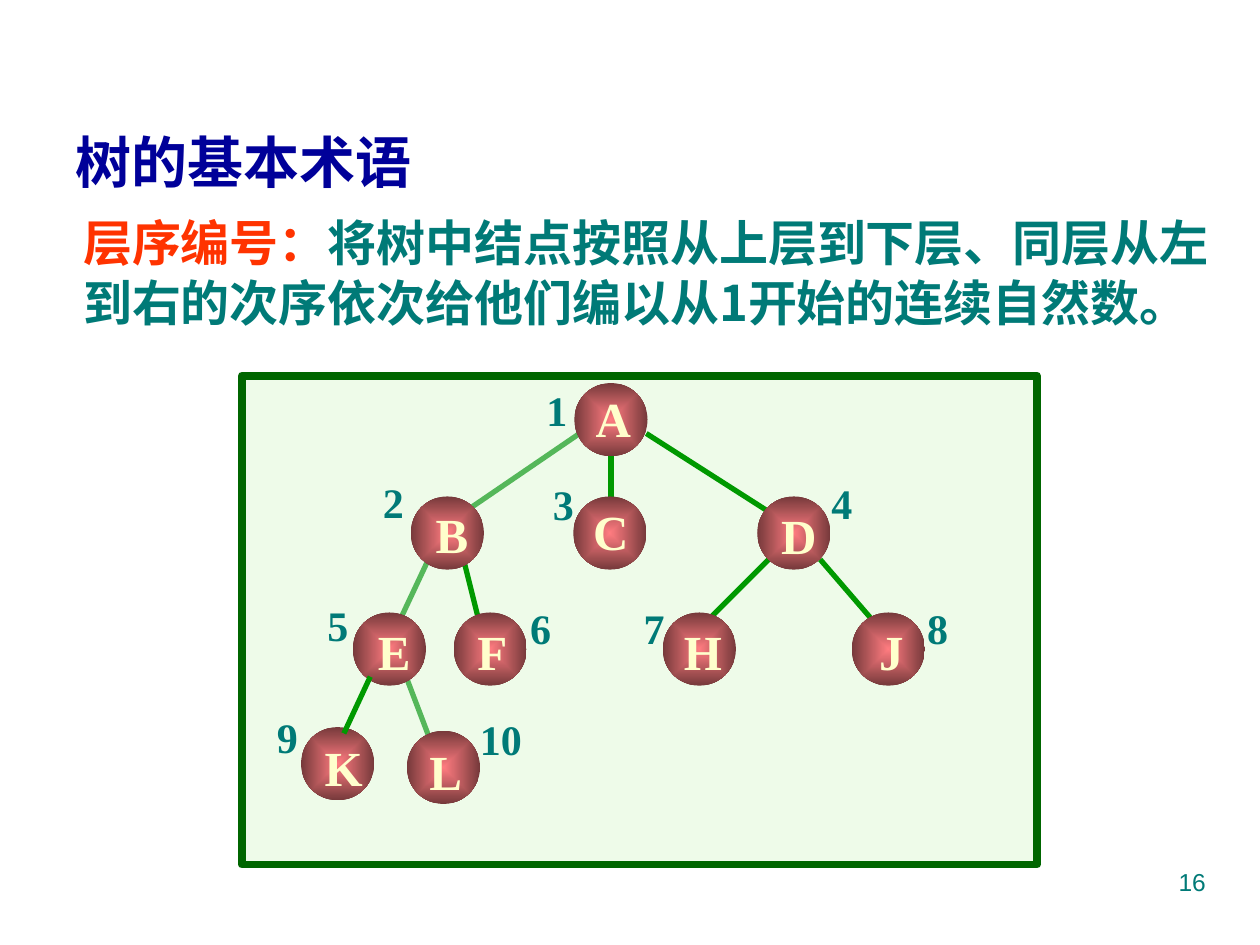
from pptx import Presentation
from pptx.dml.color import RGBColor
from pptx.enum.shapes import MSO_CONNECTOR as Connector, MSO_SHAPE as Shape
from pptx.enum.text import MSO_ANCHOR as Anchor, PP_ALIGN as Align
from pptx.oxml import parse_xml
from pptx.oxml.ns import nsdecls, qn
from pptx.util import Pt

SERIF, SANS, HAN = "Times New Roman", "Arial", "Noto Sans CJK SC"
TEAL, GREEN, PALE_GREEN = "007A77", "009900", "55B75A"
NODE_SIZE = 41.8

# name: (node left, top), (letter dx, dy, width), (number dx, dy, width)
NODES = {
    "A": ((190, 4.3), (5, -1.4, 34.6), (-23, -4.3, 28)),
    "B": ((96.5, 69.1), (7.2, 0, 33), (-23, -16.6, 28)),
    "C": ((189.4, 69.1), (4.3, -1.4, 34.6), (-18.7, -15.1, 28)),
    "D": ((294.5, 69.1), (6.5, 0.7, 34.6), (35.3, -15.8, 28)),
    "E": ((63.4, 135.4), (7.2, 0.7, 33), (-21.6, -12.2, 28)),
    "F": ((121, 135.4), (6.5, 0.7, 31.7), (36.7, -10.8, 28)),
    "H": ((240.5, 135.4), (5, 0.7, 36), (-18, -10.8, 28)),
    "J": ((348.5, 135.4), (8.6, 0.7, 28), (36, -10.8, 28)),
    "K": ((33.8, 200.9), (6.5, 1.4, 36), (-20.9, -13.7, 28)),
    "L": ((94.3, 203), (5.8, 1.4, 33), (34.6, -15.1, 40.3)),
}
EDGES = [
    (330.5, 105.1, 366.5, 146.9, GREEN),
    (301, 105.1, 265, 141.1, GREEN),
    (231.1, 33.1, 306.7, 81.4, GREEN),
    (193, 33.1, 131.8, 74.9, PALE_GREEN),
    (211, 46.1, 211, 70.6, GREEN),
    (126.7, 105.1, 137.5, 148.3, GREEN),
    (93.6, 171.4, 107.3, 207.4, PALE_GREEN),
    (106.6, 105.1, 91.4, 137.5, PALE_GREEN),
]
TOP_EDGE = (73.4, 172.1, 58.3, 204.5, GREEN)


def color(value):
    """Turn a hex string into a colour."""
    return RGBColor.from_string(value)


def add_text(page, spans, left, top, width, height, size, font, bold=True, wrap=True,
             anchor=Anchor.TOP, align=Align.LEFT, side=7.2, inset_top=3.6, spacing=None):
    """Place one paragraph made of (text, colour) spans."""
    box = page.shapes.add_textbox(Pt(left), Pt(top), Pt(width), Pt(height))
    frame = box.text_frame
    frame.word_wrap = wrap
    frame.vertical_anchor = anchor
    frame.margin_left = frame.margin_right = Pt(side)
    frame.margin_top, frame.margin_bottom = Pt(inset_top), Pt(3.6)
    para = frame.paragraphs[0]
    para.alignment = align
    if spacing:
        para.line_spacing = spacing
    for text, fill in spans:
        span = para.add_run()
        span.text = text
        span.font.size, span.font.bold, span.font.name = Pt(size), bold, font
        span.font.color.rgb = color(fill)
        span.font._element.find(qn("a:latin")).addnext(
            parse_xml(f'<a:ea {nsdecls("a")} typeface="{HAN}"/>'))


def add_panel(page, left, top, width, height):
    """Draw the framed background of the tree."""
    panel = page.shapes.add_shape(Shape.RECTANGLE, Pt(left), Pt(top), Pt(width), Pt(height))
    panel.shadow.inherit = False
    panel.fill.solid()
    panel.fill.fore_color.rgb = color("EEFBE9")
    panel.line.color.rgb = color("006600")
    panel.line.width = Pt(4.5)


def add_node(page, left, top):
    """Draw a round node that glows from its centre."""
    node = page.shapes.add_shape(Shape.OVAL, Pt(left), Pt(top), Pt(NODE_SIZE), Pt(NODE_SIZE))
    node.shadow.inherit = False
    node.line.fill.background()
    node._element.spPr.find(qn("a:prstGeom")).addnext(parse_xml(
        f'<a:gradFill {nsdecls("a")} rotWithShape="1"><a:gsLst>'
        '<a:gs pos="0"><a:srgbClr val="FF7C80"/></a:gs>'
        '<a:gs pos="100000"><a:srgbClr val="76393B"/></a:gs></a:gsLst>'
        '<a:path path="rect"><a:fillToRect l="50000" t="50000" r="50000" b="50000"/></a:path>'
        '</a:gradFill>'))


def add_edge(page, left, top, x1, y1, x2, y2, stroke):
    """Draw a tree edge relative to the panel corner."""
    edge = page.shapes.add_connector(Connector.STRAIGHT, Pt(left + x1), Pt(top + y1),
                                     Pt(left + x2), Pt(top + y2))
    edge.line.color.rgb = color(stroke)
    edge.line.width = Pt(3)
    edge._element.spPr.append(parse_xml(f'<a:effectLst {nsdecls("a")}/>'))


def add_tree(page, left, top, width, height):
    """Draw the tree with its level-order numbers."""
    add_panel(page, left, top, width, height)
    for edge in EDGES:
        add_edge(page, left, top, *edge)
    for (x, y), _, _ in NODES.values():
        add_node(page, left + x, top + y)
    for name, ((x, y), (dx, dy, letter_width), _) in NODES.items():
        add_text(page, [(name, "FFFFCC")], left + x + dx, top + y + dy, letter_width, 41,
                 size=28, font=SERIF, wrap=False, anchor=Anchor.MIDDLE, spacing=1.05)
    add_edge(page, left, top, *TOP_EDGE)
    for number, ((x, y), _, (dx, dy, number_width)) in enumerate(NODES.values(), 1):
        add_text(page, [(str(number), TEAL)], left + x + dx, top + y + dy, number_width, 36,
                 size=24, font=SERIF, spacing=1.05)


def add_heading(page, left, top, width):
    """Place the title and the definition below it."""
    add_text(page, [("树的基本术语", "000099")], left, top, 312, 46,
             size=32, font=SANS, inset_top=7, spacing=Pt(38.6))
    definition = [("层序编号：", "FF3300"),
                  ("将树中结点按照从上层到下层、同层从左到右的次序依次给他们编以从1开始的连续自然数。", TEAL)]
    add_text(page, definition, left + 11.5, top + 50.4, width, 75,
             size=28, font=HAN, side=0, inset_top=5.6, spacing=Pt(33.8))


def main():
    """Build and save the slide."""
    deck = Presentation()
    deck.slide_width, deck.slide_height = Pt(720), Pt(540)
    page = deck.slides.add_slide(deck.slide_layouts[6])
    add_tree(page, 138.2, 214.6, 454.3, 279.4)
    add_heading(page, 36, 65.5, 656)
    add_text(page, [("16", TEAL)], 516.2, 491.8, 180, 37.4,
             size=14, font=SANS, bold=False, align=Align.RIGHT)
    deck.save("out.pptx")


if __name__ == "__main__":
    main()
